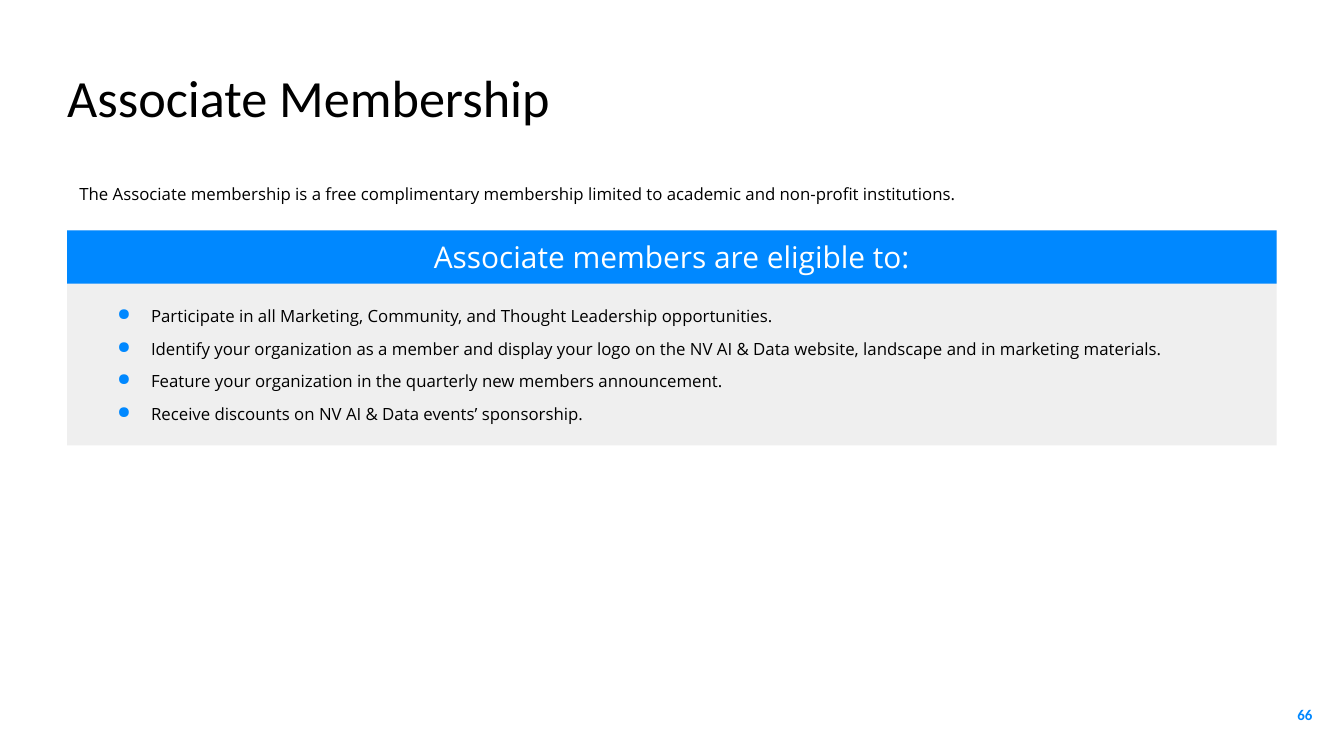
from dataclasses import dataclass

from lxml.etree import SubElement
from pptx import Presentation
from pptx.dml.color import RGBColor
from pptx.enum.shapes import MSO_SHAPE
from pptx.enum.text import MSO_ANCHOR, PP_ALIGN
from pptx.oxml.ns import qn
from pptx.util import Cm, Pt


@dataclass(frozen=True)
class Theme:
    """Colours, fonts and type sizes of the slide."""
    blue: str = "0088FF"
    grey: str = "EFEFEF"
    black: str = "000000"
    white: str = "FFFFFF"
    head: str = "Calibri"
    body: str = "Open Sans"
    title: int = 56
    band: int = 32
    text: int = 18
    number: int = 16


THEME = Theme()
PERKS = (
    "Participate in all Marketing, Community, and Thought Leadership opportunities.",
    "Identify your organization as a member and display your logo on the "
    "NV AI & Data website, landscape and in marketing materials.",
    "Feature your organization in the quarterly new members announcement.",
    "Receive discounts on NV AI & Data events’ sponsorship.",
)


def apply(item, values):
    """Set each named attribute of the item."""
    for name, value in values.items():
        setattr(item, name, value)


def write(para, text, face, size, color, bold=False, **form):
    """Fill one paragraph with styled text."""
    apply(para, form)
    run = para.add_run()
    run.text = text
    apply(run.font, {"name": face, "size": Pt(size), "bold": bold})
    run.font.color.rgb = RGBColor.from_string(color)


def inset(frame, side, edge, anchor=MSO_ANCHOR.TOP):
    """Set the margins, wrapping and anchor of a text frame."""
    apply(frame, {
        "margin_left": Cm(side), "margin_right": Cm(side),
        "margin_top": Cm(edge), "margin_bottom": Cm(edge),
        "word_wrap": True, "vertical_anchor": anchor,
    })
    return frame


def label(slide, box, side=0, edge=0, anchor=MSO_ANCHOR.TOP):
    """Add an empty text box and return its frame."""
    shape = slide.shapes.add_textbox(*map(Cm, box))
    return inset(shape.text_frame, side, edge, anchor)


def block(slide, box, color):
    """Add a plain filled rectangle."""
    shape = slide.shapes.add_shape(MSO_SHAPE.RECTANGLE, *map(Cm, box))
    shape.shadow.inherit = False
    shape.fill.solid()
    shape.fill.fore_color.rgb = RGBColor.from_string(color)
    shape.line.fill.background()
    return shape


def bullet(para):
    """Give a paragraph a hanging blue bullet."""
    props = para._p.get_or_add_pPr()
    apply_indent = {"marL": Cm(1.9), "indent": -Cm(1.27)}
    for name, value in apply_indent.items():
        props.set(name, str(int(value)))
    tint = SubElement(props, qn("a:buClr"))
    SubElement(tint, qn("a:srgbClr"), val=THEME.blue)
    SubElement(props, qn("a:buChar"), char="●")


def title(slide, box):
    """Place the slide title."""
    write(label(slide, box).paragraphs[0], "Associate Membership",
          THEME.head, THEME.title, THEME.black)


def intro(slide, box):
    """Place the opening sentence."""
    write(label(slide, box, 0.38, 0.18).paragraphs[0],
          "The Associate membership is a free complimentary membership "
          "limited to academic and non-profit institutions.",
          THEME.body, THEME.text, THEME.black, line_spacing=1.15)


def perks(slide, box):
    """Place the panel with its heading band and bullet list."""
    left, top, width, height = box
    block(slide, box, THEME.grey)
    frame = label(slide, (left + 0.76, top + 2.49, width - 2.95, height - 2.64),
                  0.51, 0.25)
    last = len(PERKS) - 1
    for i, text in enumerate(PERKS):
        para = frame.add_paragraph() if i else frame.paragraphs[0]
        bullet(para)
        write(para, text, THEME.body, THEME.text, THEME.black,
              line_spacing=1.15, space_before=Pt(10 if i else 0),
              space_after=Pt(10 if i == last else 0))
    band = block(slide, (left, top, width, 2.01), THEME.blue)
    frame = inset(band.text_frame, 0.51, 0.51, MSO_ANCHOR.MIDDLE)
    write(frame.paragraphs[0], "Associate members are eligible to:",
          THEME.body, THEME.band, THEME.white, alignment=PP_ALIGN.CENTER)


def number(slide, box):
    """Place the page number."""
    frame = label(slide, box, 0.51, 0.51, MSO_ANCHOR.MIDDLE)
    write(frame.paragraphs[0], "66", THEME.head, THEME.number, THEME.blue,
          bold=True, alignment=PP_ALIGN.RIGHT)


def main():
    """Build and save the slide."""
    deck = Presentation()
    apply(deck, {"slide_width": Cm(50.8), "slide_height": Cm(28.58)})
    slide = deck.slides.add_slide(deck.slide_layouts[6])
    title(slide, (2.54, 2.46, 47.35, 3.18))
    number(slide, (47.07, 25.91, 3.05, 2.18))
    intro(slide, (2.62, 6.65, 45.57, 2.44))
    perks(slide, (2.54, 8.71, 45.72, 8.13))
    deck.save("out.pptx")


if __name__ == "__main__":
    main()
